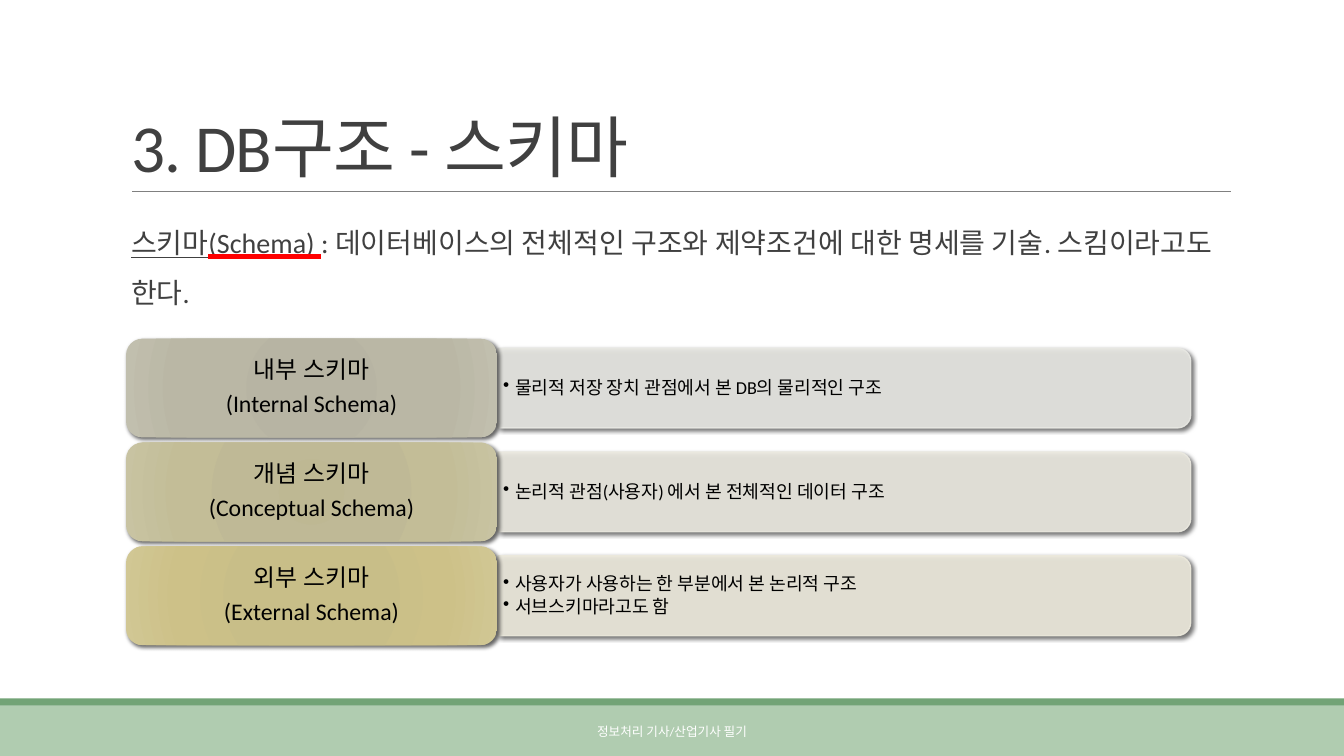
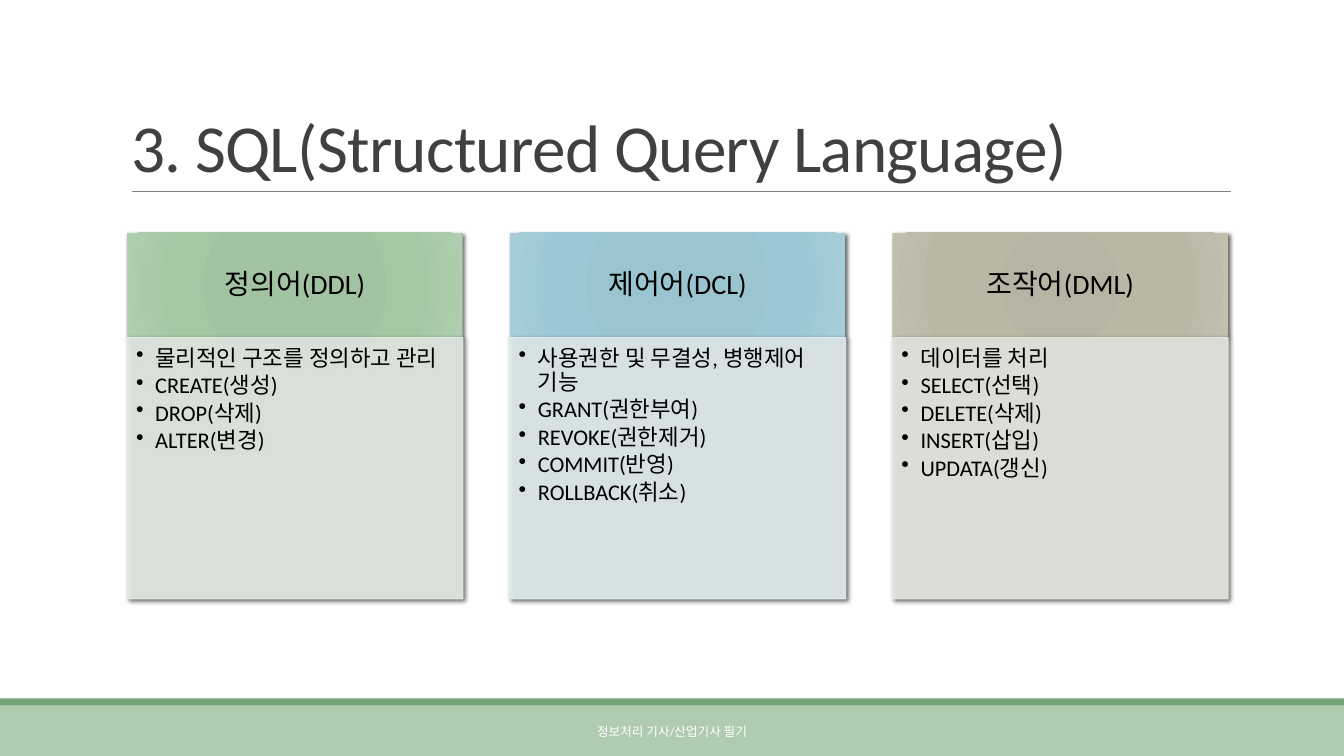
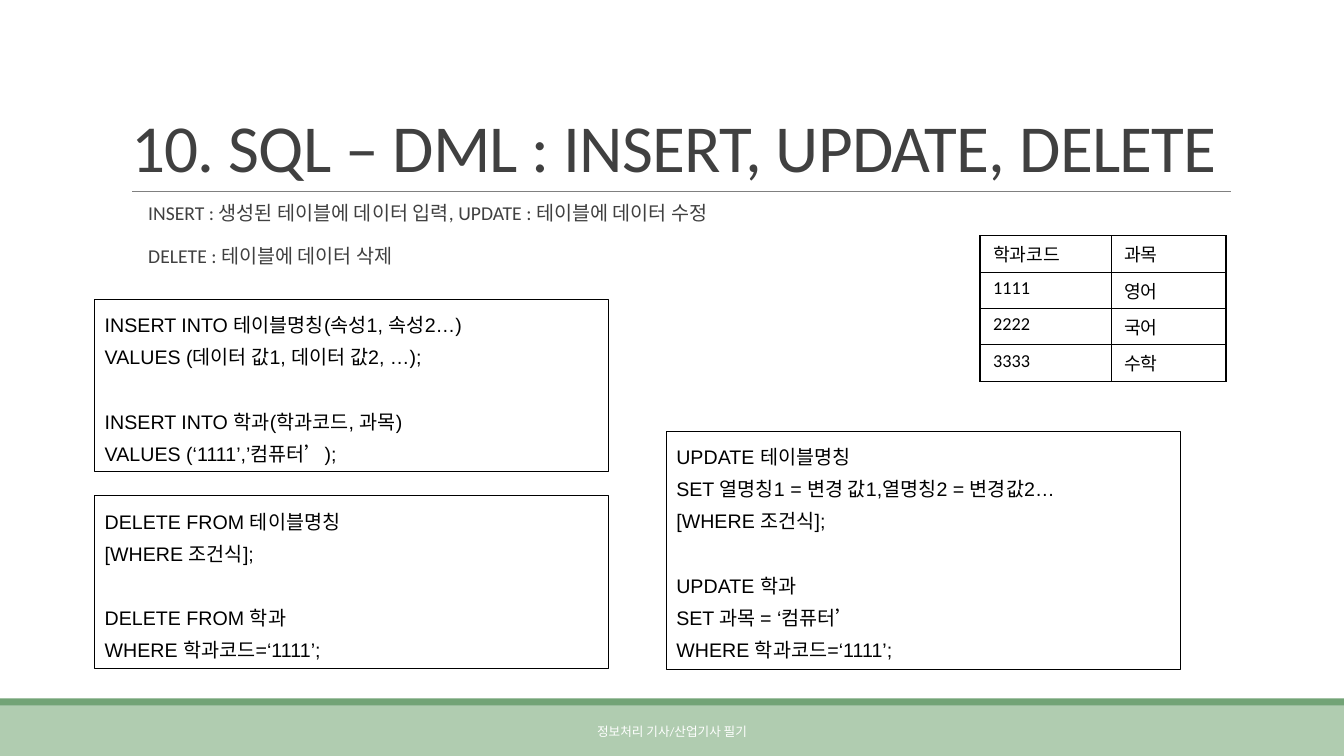
from dataclasses import dataclass

from lxml.etree import SubElement
from pptx import Presentation
from pptx.dml.color import RGBColor
from pptx.enum.shapes import MSO_CONNECTOR, MSO_SHAPE
from pptx.enum.text import MSO_ANCHOR, MSO_AUTO_SIZE, PP_ALIGN
from pptx.oxml.ns import qn
from pptx.util import Inches, Pt


@dataclass(frozen=True)
class Theme:
    font: str = "Calibri"
    code_font: str = "Arial"
    ink: str = "404040"
    black: str = "000000"
    white: str = "FFFFFF"
    rule: str = "808080"
    band: str = "B0CCB0"
    strip: str = "72A376"
    red: str = "FF0000"
    title: int = 48
    lead: int = 20
    label: int = 17
    card: int = 16
    code: int = 14
    small: int = 13
    foot: int = 9


T = Theme()
STOPS = (0, 34, 70, 100)
GREEN = (("A0C2A0", "A2C3A2", "A4C7A4", "AFCDAF"), "E4ECE4")
BLUE = (("96C3CF", "99C4D0", "9AC8D4", "A6CED9"), "E1EDF0")
STONE = (("B5B3A1", "B7B4A3", "BAB7A5", "C1BFAE"), "E8E8E3")
OLIVE = (("BEB893", "BFB996", "C3BD97", "C8C3A2"), "EBE9E0")
GOLD = (("C8BD85", "C8BE88", "CDC188", "D1C794"), "EDEADD")

FOOTER = "정보처리 기사/산업기사 필기"

SCHEMA_TITLE = "3. DB구조 - 스키마"
SCHEMA_LEAD = [
    ("스키마", {"u": "sng"}),
    ("(Schema) ", {"u": "heavy", "line": T.red}),
    (": 데이터베이스의 전체적인 구조와 제약조건에 대한 명세를 기술. 스킴이라고도 한다.", {}),
]
SCHEMAS = [
    (["내부 스키마", "(Internal Schema)"], STONE,
     ["물리적 저장 장치 관점에서 본 DB의 물리적인 구조"]),
    (["개념 스키마", "(Conceptual Schema)"], OLIVE,
     ["논리적 관점(사용자) 에서 본 전체적인 데이터 구조"]),
    (["외부 스키마", "(External Schema)"], GOLD,
     ["사용자가 사용하는 한 부분에서 본 논리적 구조", "서브스키마라고도 함"]),
]

SQL_TITLE = "3. SQL(Structured Query Language)"
CARDS = [
    ("정의어(DDL)", GREEN,
     ["물리적인 구조를 정의하고 관리", "CREATE(생성)", "DROP(삭제)", "ALTER(변경)"]),
    ("제어어(DCL)", BLUE,
     ["사용권한 및 무결성, 병행제어 기능", "GRANT(권한부여)", "REVOKE(권한제거)",
      "COMMIT(반영)", "ROLLBACK(취소)"]),
    ("조작어(DML)", STONE,
     ["데이터를 처리", "SELECT(선택)", "DELETE(삭제)", "INSERT(삽입)", "UPDATA(갱신)"]),
]

DML_TITLE = "10. SQL – DML : INSERT, UPDATE, DELETE"
DML_LEAD = ["INSERT : 생성된 테이블에 데이터 입력, UPDATE : 테이블에 데이터 수정",
            "DELETE : 테이블에 데이터 삭제"]
CODES = [
    ((0.94, 2.97, 5.1, 1.71),
     ["INSERT INTO 테이블명칭(속성1, 속성2…)", "VALUES (데이터 값1, 데이터 값2, …);"],
     ["INSERT INTO 학과(학과코드, 과목)", "VALUES (‘1111’,’컴퓨터’);"]),
    ((6.61, 4.28, 5.1, 2.36),
     ["UPDATE 테이블명칭", "SET 열명칭1 = 변경 값1,열명칭2 = 변경값2…", "[WHERE 조건식];"],
     ["UPDATE 학과", "SET 과목 = ‘컴퓨터’", "WHERE 학과코드=‘1111’;"]),
    ((0.94, 4.92, 5.1, 1.71),
     ["DELETE FROM 테이블명칭", "[WHERE 조건식];"],
     ["DELETE FROM 학과", "WHERE 학과코드=‘1111’;"]),
]
SUBJECTS = [("학과코드", "과목"), ("1111", "영어"), ("2222", "국어"), ("3333", "수학")]


def rgb(code):
    return RGBColor.from_string(code)


def inch(spot):
    return [Inches(v) for v in spot]


def node(parent, tag, **attrs):
    item = SubElement(parent, qn(tag))
    for key, value in attrs.items():
        item.set(key, str(value))
    return item


def put(frame, paras, size, font=T.font, color=T.black, align=PP_ALIGN.LEFT,
        anchor=MSO_ANCHOR.TOP, pad=(0.1, 0.05, 0.1, 0.05), space=None,
        before=0, after=0, left=0, bullet=False, track=None):
    """Fill a frame; each paragraph is a string or a list of (text, underline)."""
    frame.word_wrap = True
    frame.auto_size = MSO_AUTO_SIZE.NONE
    frame.vertical_anchor = anchor
    (frame.margin_left, frame.margin_top,
     frame.margin_right, frame.margin_bottom) = inch(pad)
    for i, para in enumerate(paras):
        p = frame.add_paragraph() if i else frame.paragraphs[0]
        p.alignment = align
        p.space_before, p.space_after = Pt(before), Pt(after)
        if space:
            p.line_spacing = space
        props = p._p.get_or_add_pPr()
        if left:
            props.set("marL", str(Inches(left)))
            props.set("indent", str(Inches(-left if bullet else 0)))
        if bullet:
            node(props, "a:buChar", char="•")
        for text, under in [(para, {})] if isinstance(para, str) else para:
            run = p.add_run()
            run.text = text
            run.font.size = Pt(size)
            run.font.color.rgb = rgb(color)
            look = run._r.get_or_add_rPr()
            if track:
                look.set("spc", str(track))
            if under:
                look.set("u", under["u"])
            if "line" in under:
                fill = node(node(look, "a:uFill"), "a:solidFill")
                node(fill, "a:srgbClr", val=under["line"])
            run.font.name = font


def note(slide, spot, paras, **form):
    put(slide.shapes.add_textbox(*inch(spot)).text_frame, paras, **form)


def block(slide, spot, kind=MSO_SHAPE.RECTANGLE, fill=None, line=None,
          width=1, alpha=None, shade=False):
    """Add a preset shape; a tuple as fill gives a round gradient."""
    shape = slide.shapes.add_shape(kind, *inch(spot))
    look = shape._element.spPr
    if isinstance(fill, tuple):
        shape.fill.gradient()
        grad = look.find(qn("a:gradFill"))
        for child in list(grad):
            grad.remove(child)
        stops = node(grad, "a:gsLst")
        for place, color in zip(STOPS, fill):
            node(node(stops, "a:gs", pos=place * 1000), "a:srgbClr", val=color)
        ring = node(grad, "a:path", path="circle")
        node(ring, "a:fillToRect", **dict.fromkeys("ltrb", 100000))
    elif fill:
        shape.fill.solid()
        shape.fill.fore_color.rgb = rgb(fill)
    else:
        shape.fill.background()
    if line:
        shape.line.color.rgb = rgb(line)
        shape.line.width = Pt(width)
    else:
        shape.line.fill.background()
    if alpha:
        for color in look.iter(qn("a:srgbClr")):
            node(color, "a:alpha", val=alpha * 1000)
    shape.shadow.inherit = False
    if shade:
        cast = node(look.find(qn("a:effectLst")), "a:outerShdw", blurRad=Pt(3),
                    dist=Pt(2), dir=45 * 60000, algn="ctr", rotWithShape=0)
        node(node(cast, "a:srgbClr", val=T.black), "a:alpha", val=60000)
    return shape


def start(deck, title):
    """Add a slide with the shared bands, rule, title and footer."""
    slide = deck.slides.add_slide(deck.slide_layouts[5])
    block(slide, (0, 7, 13.33, 0.5), fill=T.band)
    block(slide, (0, 6.93, 13.33, 0.07), fill=T.strip)
    rule = slide.shapes.add_connector(MSO_CONNECTOR.STRAIGHT, *inch((1.31, 1.9, 12.21, 1.9)))
    rule.line.color.rgb = rgb(T.rule)
    rule.line.width = Pt(0.5)
    node(rule._element.spPr, "a:effectLst")
    head = slide.shapes.title
    head.left, head.top, head.width, head.height = inch((1.2, 0.31, 11, 1.59))
    put(head.text_frame, [title], size=T.title, color=T.ink,
        anchor=MSO_ANCHOR.BOTTOM, space=0.85, track=-50)
    note(slide, (4.03, 7.06, 5.27, 0.4), [FOOTER], size=T.foot, color=T.white,
         align=PP_ALIGN.CENTER, anchor=MSO_ANCHOR.MIDDLE)
    return slide


def schemas(deck):
    slide = start(deck, SCHEMA_TITLE)
    note(slide, (1.2, 2.02, 11, 1.2), [SCHEMA_LEAD], size=T.lead, color=T.ink,
         pad=(0, 0.05, 0, 0.05), space=1.5, before=12, after=2, left=0.1)
    x, wide, high, pitch = 1.25, 3.68, 0.98, 1.03
    bar, thick = 6.87, 0.79
    edge = x + wide + 0.01
    for i, (label, (shades, pale), points) in enumerate(SCHEMAS):
        top = 3.36 + i * pitch
        mid = top + high / 2
        strip = block(slide, (edge + (bar - thick) / 2, mid - bar / 2, thick, bar),
                      MSO_SHAPE.ROUND_2_SAME_RECTANGLE, pale, pale, alpha=90, shade=True)
        strip.rotation = 90
        note(slide, (edge, mid - 0.35, 6.83, 0.71), points, size=T.small,
             anchor=MSO_ANCHOR.MIDDLE, pad=(0.05, 0.03, 0.05, 0.03),
             space=0.9, after=2, left=0.12, bullet=True)
        tag = block(slide, (x, top, wide, high), MSO_SHAPE.ROUNDED_RECTANGLE,
                    shades, shade=True)
        put(tag.text_frame, label, size=T.label, align=PP_ALIGN.CENTER,
            anchor=MSO_ANCHOR.MIDDLE, pad=(0.07, 0.04, 0.07, 0.04), space=0.9, after=6)


def cards(deck):
    slide = start(deck, SQL_TITLE)
    x, top, wide, cap, high = 1.26, 2.31, 3.33, 1.04, 2.59
    pitch = (10.92 - wide) / (len(CARDS) - 1)
    for i, (name, (shades, pale), points) in enumerate(CARDS):
        left = x + i * pitch
        head = block(slide, (left, top, wide, cap), fill=shades, shade=True)
        put(head.text_frame, [name], size=T.lead, align=PP_ALIGN.CENTER,
            anchor=MSO_ANCHOR.MIDDLE, pad=(0.16, 0.09, 0.16, 0.09), space=0.9, after=7)
        body = block(slide, (left, top + cap, wide, high), fill=pale, line=pale,
                     alpha=90, shade=True)
        put(body.text_frame, points, size=T.card, pad=(0.09, 0.09, 0.12, 0.14),
            space=0.9, after=2.4, left=0.19, bullet=True)


def grid(slide, spot, widths, rows):
    table = slide.shapes.add_table(len(rows), len(widths), *inch(spot)).table
    table.first_row = table.horz_banding = False
    for col, wide in zip(table.columns, widths):
        col.width = Inches(wide)
    for r, row in enumerate(rows):
        table.rows[r].height = Inches(spot[3] / len(rows))
        for c, text in enumerate(row):
            cell = table.cell(r, c)
            put(cell.text_frame, [text], size=T.small)
            cell.margin_left = cell.margin_right = Inches(0.13)
            cell.margin_top = cell.margin_bottom = Inches(0.05)
            props = cell._tc.get_or_add_tcPr()
            for side in "LRTB":
                edge = node(props, f"a:ln{side}", w=Pt(1))
                node(node(edge, "a:solidFill"), "a:srgbClr", val=T.black)
            cell.fill.solid()
            cell.fill.fore_color.rgb = rgb(T.white)


def codes(deck):
    slide = start(deck, DML_TITLE)
    note(slide, (1.37, 1.94, 7.09, 1), DML_LEAD, size=T.code, color=T.ink,
         pad=(0, 0.05, 0, 0.05), before=12, after=2, left=0.1)
    for spot, syntax, sample in CODES:
        frame = block(slide, spot, line=T.black, width=0.75).text_frame
        put(frame, syntax + sample, size=T.code, font=T.code_font, space=Pt(23))
        frame.paragraphs[len(syntax)].space_before = Pt(23)
    grid(slide, (9.72, 2.34, 2.44, 1.27), (1.3, 1.14), SUBJECTS)


def main():
    deck = Presentation()
    deck.slide_width, deck.slide_height = Inches(13.33), Inches(7.5)
    for build in (schemas, cards, codes):
        build(deck)
    deck.save("out.pptx")


if __name__ == "__main__":
    main()
